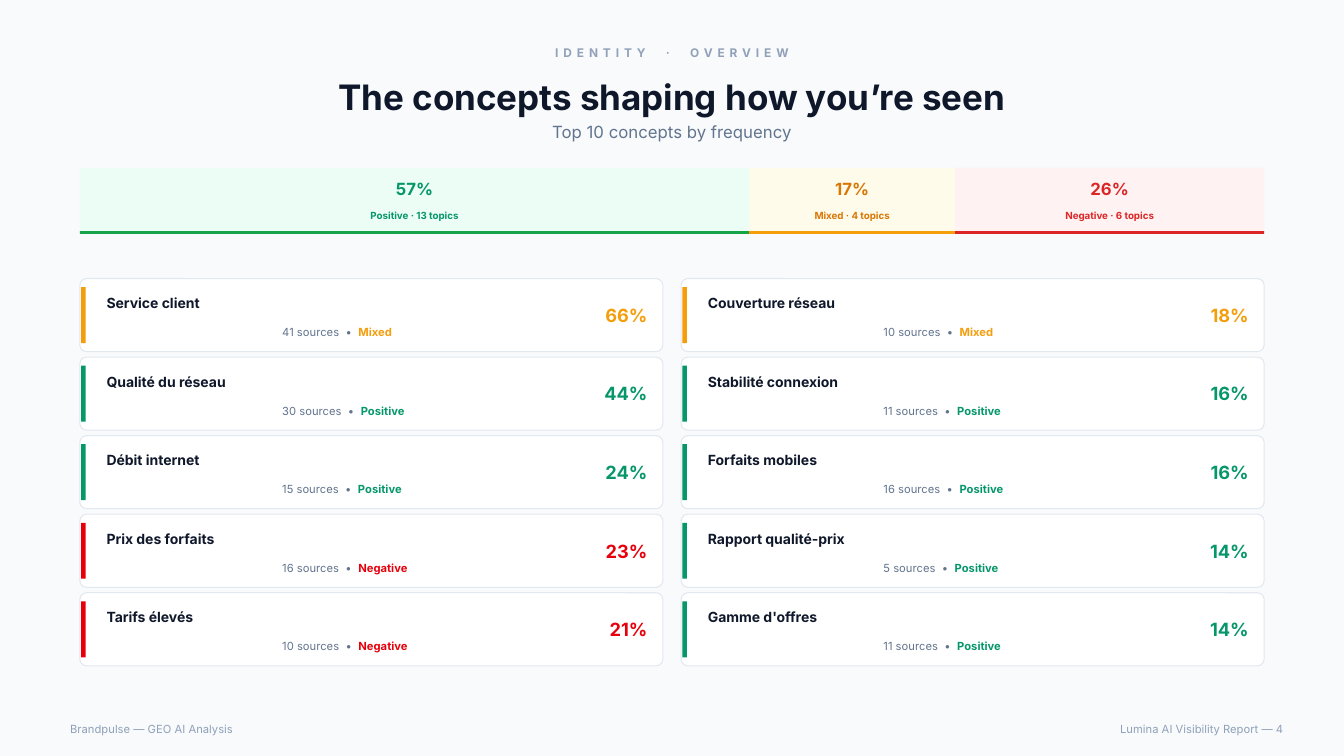
from pptx import Presentation
from pptx.dml.color import RGBColor
from pptx.enum.shapes import MSO_SHAPE
from pptx.enum.text import MSO_ANCHOR, MSO_AUTO_SIZE, PP_ALIGN
from pptx.util import Pt

RECT, ROUNDED = MSO_SHAPE.RECTANGLE, MSO_SHAPE.ROUNDED_RECTANGLE
LEFT, CENTER, RIGHT = PP_ALIGN.LEFT, PP_ALIGN.CENTER, PP_ALIGN.RIGHT
TOP, MIDDLE = MSO_ANCHOR.TOP, MSO_ANCHOR.MIDDLE

PAGE = RGBColor(0xF8, 0xFA, 0xFC)
WHITE = RGBColor(0xFF, 0xFF, 0xFF)
BORDER = RGBColor(0xE2, 0xE8, 0xF0)
INK = RGBColor(0x0F, 0x17, 0x2A)
SLATE = RGBColor(0x62, 0x74, 0x8E)
MUTED = RGBColor(0x90, 0xA1, 0xB9)
GREEN = RGBColor(0x05, 0x96, 0x69)
GREEN_LINE = RGBColor(0x16, 0xA3, 0x4A)
GREEN_PALE = RGBColor(0xEC, 0xFD, 0xF5)
AMBER = RGBColor(0xF5, 0x9E, 0x0B)
AMBER_DARK = RGBColor(0xD9, 0x77, 0x06)
AMBER_PALE = RGBColor(0xFF, 0xFB, 0xEB)
RED = RGBColor(0xE7, 0x00, 0x0B)
RED_DARK = RGBColor(0xDC, 0x26, 0x26)
RED_PALE = RGBColor(0xFE, 0xF2, 0xF2)

FONT = "Inter"
EYEBROW = "IDENTITY  ·  OVERVIEW"
TITLE = "The concepts shaping how you’re seen"
SUBTITLE = "Top 10 concepts by frequency"
FOOTER_LEFT = "Brandpulse — GEO AI Analysis"
FOOTER_RIGHT = "Lumina AI Visibility Report — 4"

# sentiment, share, topics, text colour, line colour, fill colour
SEGMENTS = [
    ("Positive", "57%", 13, GREEN, GREEN_LINE, GREEN_PALE),
    ("Mixed", "17%", 4, AMBER_DARK, AMBER, AMBER_PALE),
    ("Negative", "26%", 6, RED_DARK, RED_DARK, RED_PALE),
]
SENTIMENT_COLORS = {"Positive": GREEN, "Mixed": AMBER, "Negative": RED}

# one list per column: concept, sources, sentiment, frequency
COLUMNS = [
    [
        ("Service client", 41, "Mixed", "66%"),
        ("Qualité du réseau", 30, "Positive", "44%"),
        ("Débit internet", 15, "Positive", "24%"),
        ("Prix des forfaits", 16, "Negative", "23%"),
        ("Tarifs élevés", 10, "Negative", "21%"),
    ],
    [
        ("Couverture réseau", 10, "Mixed", "18%"),
        ("Stabilité connexion", 11, "Positive", "16%"),
        ("Forfaits mobiles", 16, "Positive", "16%"),
        ("Rapport qualité-prix", 5, "Positive", "14%"),
        ("Gamme d'offres", 11, "Positive", "14%"),
    ],
]

SLIDE_W, SLIDE_H = 960, 540
MARGIN, CONTENT_W = 57, 846
HEAD_X, HEAD_W = 43, 874
STRIP_Y, STRIP_H, STRIP_LINE = 120, 47, 2
CARD_Y, CARD_H, CARD_STEP = 199, 52.2, 56.1
CARD_GAP, CARD_RADIUS = 13, 4.9
CARD_W = (CONTENT_W - CARD_GAP) / 2


def add_box(s, kind, x, y, w, h, fill, line=None):
    sp = s.shapes.add_shape(kind, Pt(x), Pt(y), Pt(w), Pt(h))
    sp.shadow.inherit = False
    sp.fill.solid()
    sp.fill.fore_color.rgb = fill
    if line is None:
        sp.line.fill.background()
    else:
        sp.line.color.rgb = line
        sp.line.width = Pt(0.75)
    return sp


def style_text(sp, text, size, color, bold=False, align=CENTER, anchor=MIDDLE):
    tf = sp.text_frame
    tf.word_wrap = True
    tf.auto_size = MSO_AUTO_SIZE.NONE
    tf.vertical_anchor = anchor
    p = tf.paragraphs[0]
    p.alignment = align
    p.font.name, p.font.size, p.font.bold = FONT, Pt(size), bold
    p.font.color.rgb = color
    p.add_run().text = text
    return p


def add_text(s, x, y, w, h, *args, **kwargs):
    """Add a text box; the remaining arguments go to style_text."""
    sp = s.shapes.add_textbox(Pt(x), Pt(y), Pt(w), Pt(h))
    return style_text(sp, *args, **kwargs)


def add_heading(s):
    p = add_text(s, HEAD_X, 29, HEAD_W, 18, EYEBROW, 8.5, MUTED, bold=True)
    p.runs[0].font._element.set("spc", "350")
    title = s.shapes.title
    title.left, title.top, title.width, title.height = Pt(HEAD_X), Pt(49), Pt(HEAD_W), Pt(40)
    style_text(title, TITLE, 25, INK, bold=True)
    add_text(s, HEAD_X, 85, HEAD_W, 18, SUBTITLE, 12, SLATE)


def add_strip(s):
    total = sum(segment[2] for segment in SEGMENTS)
    x = MARGIN
    for name, share, topics, color, line, fill in SEGMENTS:
        w = CONTENT_W * topics / total
        add_box(s, RECT, x, STRIP_Y, w, STRIP_H, fill)
        add_box(s, RECT, x, STRIP_Y + STRIP_H - STRIP_LINE, w, STRIP_LINE, line)
        add_text(s, x, STRIP_Y + 5, w, 20, share, 12, color, bold=True)
        add_text(s, x, STRIP_Y + 26, w, 16, f"{name} · {topics} topics", 7, color, bold=True)
        x += w


def add_card(s, x, y, concept, sources, sentiment, frequency):
    color = SENTIMENT_COLORS[sentiment]
    card = add_box(s, ROUNDED, x, y, CARD_W, CARD_H, WHITE, BORDER)
    card.adjustments[0] = CARD_RADIUS / CARD_H
    add_box(s, RECT, x + 1, y + 6.1, 3.2, 40, color)
    add_text(s, x + 12, y + 8, 326, 19.5, concept, 10, INK, bold=True, align=LEFT, anchor=TOP)
    p = add_text(s, x + 137.5, y + 30, 201, 16, f"{sources} sources  •  ", 8, SLATE,
                 align=LEFT, anchor=TOP)
    r = p.add_run()
    r.text = sentiment
    r.font.bold = True
    r.font.color.rgb = color
    add_text(s, x + 360.5, y, 52, CARD_H, frequency, 13, color, bold=True, align=RIGHT)


def main():
    prs = Presentation()
    prs.slide_width, prs.slide_height = Pt(SLIDE_W), Pt(SLIDE_H)
    s = prs.slides.add_slide(prs.slide_layouts[5])
    s.background.fill.solid()
    s.background.fill.fore_color.rgb = PAGE

    add_heading(s)
    add_strip(s)
    for col, concepts in enumerate(COLUMNS):
        for row, concept in enumerate(concepts):
            add_card(s, MARGIN + col * (CARD_W + CARD_GAP), CARD_Y + row * CARD_STEP, *concept)
    add_text(s, HEAD_X, 512.5, 430, 16, FOOTER_LEFT, 8, MUTED, align=LEFT)
    add_text(s, 490, 512.5, 434, 16, FOOTER_RIGHT, 8, MUTED, align=RIGHT)

    prs.save("out.pptx")


if __name__ == "__main__":
    main()
